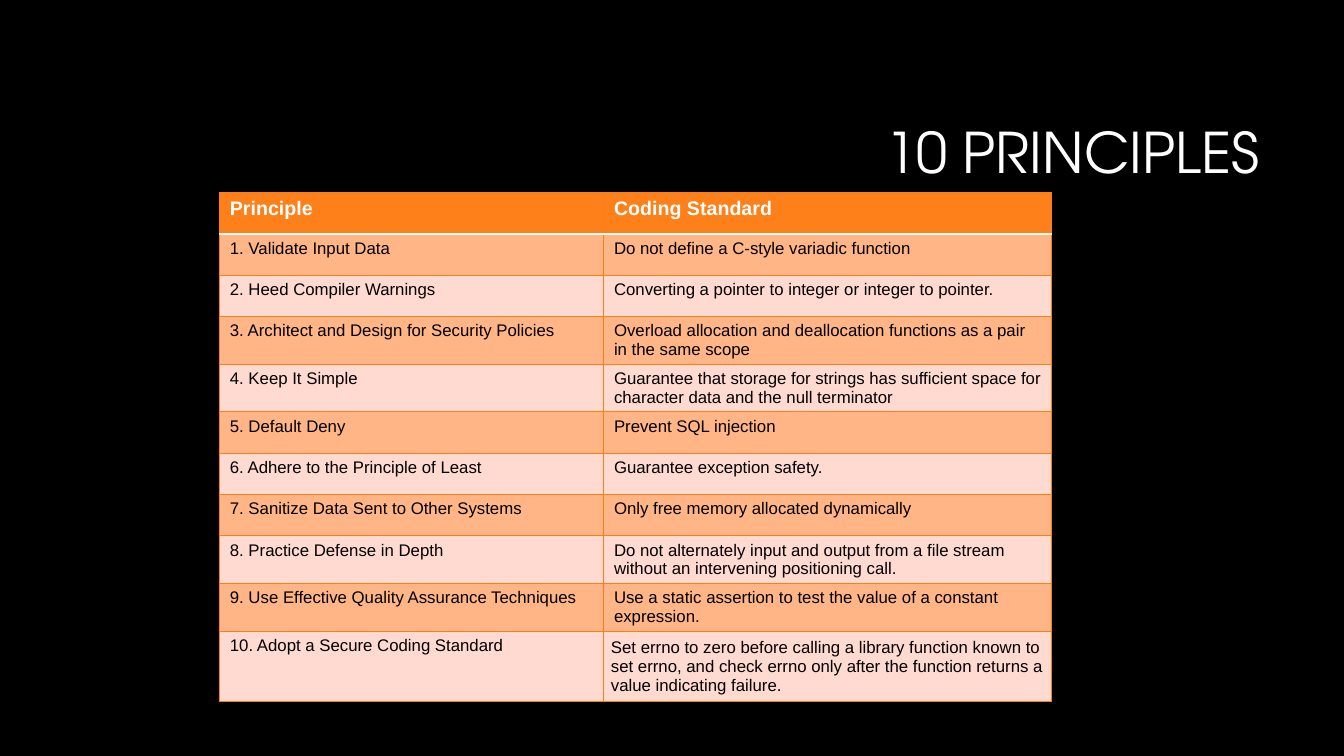
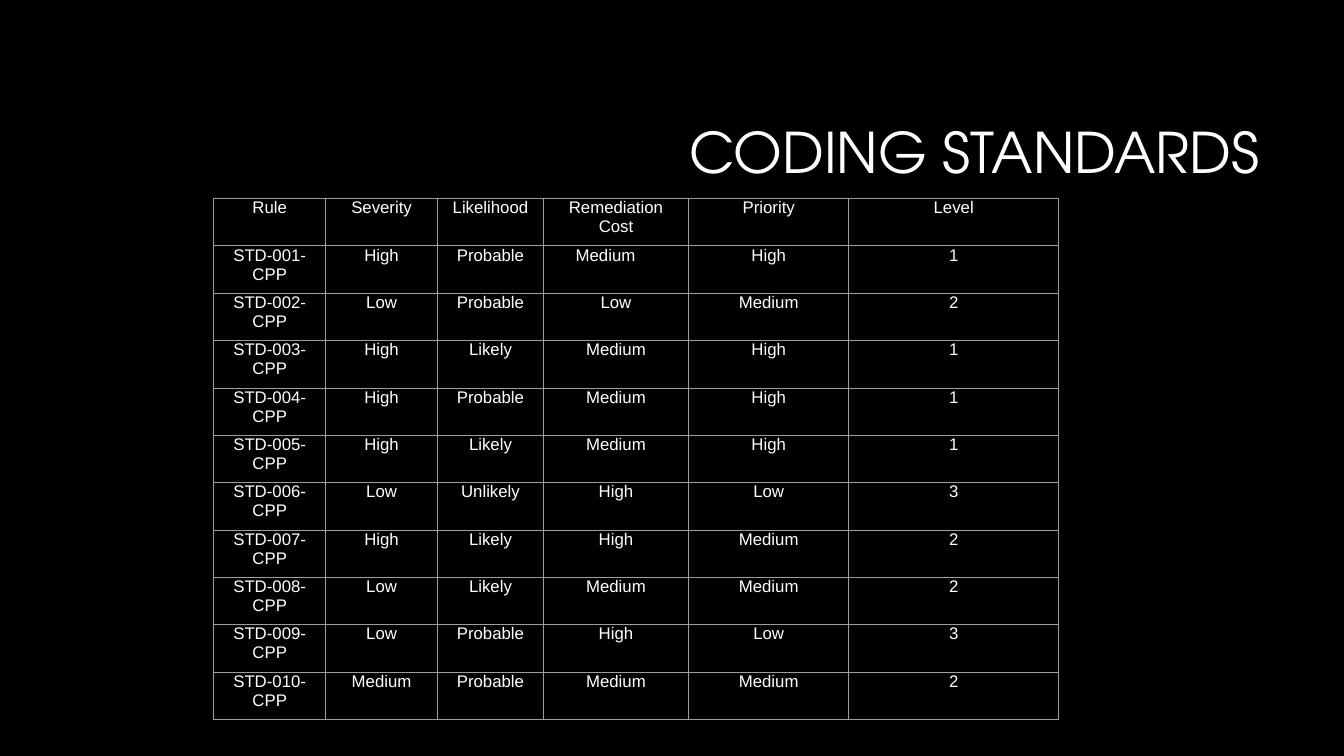
import pptx
import pptx.dml.color
import pptx.enum.text
import pptx.oxml
import pptx.oxml.ns
import pptx.util

Inches = pptx.util.Inches
Pt = pptx.util.Pt
RGBColor = pptx.dml.color.RGBColor
PP_ALIGN = pptx.enum.text.PP_ALIGN

COLORS = {
    "black": "000000",
    "white": "FFFFFF",
    "orange": "FE801A",
    "orange_line": "FE7D14",
    "dark_band": "FFB586",
    "light_band": "FFDAD0",
    "gray_line": "9E9E9E",
}
BODY_FONT = "Arial"
TITLE_FONT = "TeX Gyre Adventor"
PLAIN_TABLE_STYLE = "{2D5ABB26-0587-4C30-8999-92F81FD0307C}"
NAMESPACE = pptx.oxml.ns.nsdecls("a")

principles = [
    ("Principle", "Coding Standard"),
    ("1. Validate Input Data", "Do not define a C-style variadic function"),
    ("2. Heed Compiler Warnings", "Converting a pointer to integer or integer to pointer."),
    ("3. Architect and Design for Security Policies",
     "Overload allocation and deallocation functions as a pair in the same scope"),
    ("4. Keep It Simple",
     "Guarantee that storage for strings has sufficient space for character data and the null terminator"),
    ("5. Default Deny", "Prevent SQL injection"),
    ("6. Adhere to the Principle of Least", "Guarantee exception safety."),
    ("7. Sanitize Data Sent to Other Systems", "Only free memory allocated dynamically"),
    ("8. Practice Defense in Depth",
     "Do not alternately input and output from a file stream without an intervening positioning call."),
    ("9. Use Effective Quality Assurance Techniques",
     "Use a static assertion to test the value of a constant expression."),
    ("10. Adopt a Secure Coding Standard",
     "Set errno to zero before calling a library function known to set errno, "
     "and check errno only after the function returns a value indicating failure."),
]
standards = [
    ("Rule", "Severity", "Likelihood", "Remediation Cost", "Priority", "Level"),
    ("STD-001-CPP", "High", "Probable", "Medium\t", "High", "1"),
    ("STD-002-CPP", "Low", "Probable", "Low", "Medium", "2"),
    ("STD-003-CPP", "High", "Likely", "Medium", "High", "1"),
    ("STD-004-CPP", "High", "Probable", "Medium", "High", "1"),
    ("STD-005-CPP", "High", "Likely", "Medium", "High", "1"),
    ("STD-006-CPP", "Low", "Unlikely", "High", "Low", "3"),
    ("STD-007-CPP", "High", "Likely", "High", "Medium", "2"),
    ("STD-008-CPP", "Low", "Likely", "Medium", "Medium", "2"),
    ("STD-009-CPP", "Low", "Probable", "High", "Low", "3"),
    ("STD-010-CPP", "Medium", "Probable", "Medium", "Medium", "2"),
]

presentation = pptx.Presentation()
presentation.slide_width = Inches(13.33)
presentation.slide_height = Inches(7.5)
background = presentation.slide_master.background.fill
background.solid()
background.fore_color.rgb = RGBColor.from_string(COLORS["black"])

title_layout = presentation.slide_layouts[5]
layout_title = title_layout.placeholders[0]
layout_title.left, layout_title.top = Inches(3.17), Inches(0.84)
layout_title.width, layout_title.height = Inches(9.42), Inches(1.41)


def style_run(run, size, font, color, bold=False):
    run.font.size = Pt(size)
    run.font.name = font
    run.font.bold = bold
    run.font.color.rgb = RGBColor.from_string(color)


def set_borders(cell, color, **special):
    """Draw all four borders in one color; special maps a side to (color, points)."""
    properties = cell._tc.get_or_add_tcPr()
    for side in "LRTB":
        line_color, points = special.get(side, (color, 0.75))
        properties.append(pptx.oxml.parse_xml(
            f'<a:ln{side} {NAMESPACE} w="{Pt(points)}"><a:solidFill>'
            f'<a:srgbClr val="{line_color}"/></a:solidFill></a:ln{side}>'))


slides = [
    {"title": "10 PRINCIPLES", "rows": principles, "left": 2.18, "top": 1.91,
     "widths": [3.81, 4.44], "row_height": 0.41, "banded": True},
    {"title": "CODING STANDARDS", "rows": standards, "left": 2.12, "top": 1.97,
     "widths": [1.11, 1.11, 1.05, 1.44, 1.59, 2.08], "row_height": 0.47, "banded": False},
]

for content in slides:
    slide = presentation.slides.add_slide(title_layout)
    title_frame = slide.shapes.title.text_frame
    title_frame.vertical_anchor = pptx.enum.text.MSO_ANCHOR.MIDDLE
    title_frame.auto_size = pptx.enum.text.MSO_AUTO_SIZE.NONE
    title_paragraph = title_frame.paragraphs[0]
    title_paragraph.alignment = PP_ALIGN.RIGHT
    title_paragraph.line_spacing = 0.9
    title_run = title_paragraph.add_run()
    title_run.text = content["title"]
    style_run(title_run, 40, TITLE_FONT, COLORS["white"])

    rows, widths, banded = content["rows"], content["widths"], content["banded"]
    table_frame = slide.shapes.add_table(
        len(rows), len(widths), Inches(content["left"]), Inches(content["top"]),
        Inches(sum(widths)), Inches(content["row_height"] * len(rows)))
    table = table_frame.table
    table.first_row = banded
    table.horz_banding = banded
    table._tbl.tblPr.find(pptx.oxml.ns.qn("a:tableStyleId")).text = PLAIN_TABLE_STYLE
    for column, width in zip(table.columns, widths):
        column.width = Inches(width)

    for row_index, row in enumerate(rows):
        table.rows[row_index].height = Inches(content["row_height"])
        is_header = banded and row_index == 0
        for column_index, text in enumerate(row):
            cell = table.cell(row_index, column_index)
            paragraph = cell.text_frame.paragraphs[0]
            run = paragraph.add_run()
            run.text = text
            if banded:
                special = {}
                if row_index < 2:
                    special["B" if is_header else "T"] = (COLORS["white"], 2)
                set_borders(cell, COLORS["orange_line"], **special)
                band = "orange" if is_header else "dark_band" if row_index % 2 else "light_band"
                cell.fill.solid()
                cell.fill.fore_color.rgb = RGBColor.from_string(COLORS[band])
                style_run(run, 14 if is_header else 12, BODY_FONT,
                          COLORS["white" if is_header else "black"], is_header)
            else:
                set_borders(cell, COLORS["gray_line"])
                cell.fill.background()
                cell.margin_left = cell.margin_right = Inches(0.07)
                cell.margin_top = cell.margin_bottom = 0
                paragraph.alignment = PP_ALIGN.CENTER
                style_run(run, 12, BODY_FONT, COLORS["white"])
            if "\t" in text:
                paragraph._p.get_or_add_pPr().append(pptx.oxml.parse_xml(
                    f'<a:tabLst {NAMESPACE}><a:tab pos="{Inches(0.8)}" algn="l"/></a:tabLst>'))

    if banded:
        last_cell = table.cell(len(rows) - 1, len(widths) - 1)
        last_cell.margin_left = last_cell.margin_right = Inches(0.07)
        last_cell.margin_top = last_cell.margin_bottom = Inches(0.07)

presentation.save("out.pptx")
